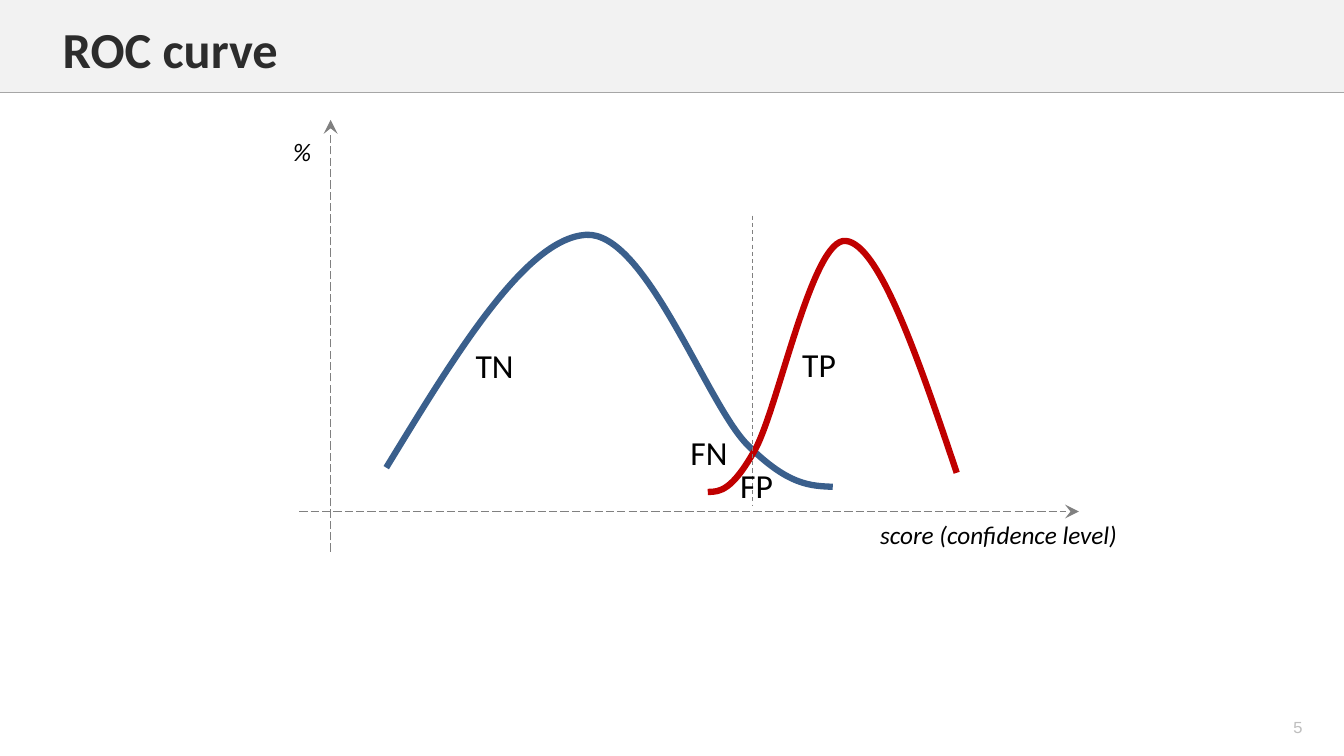
from lxml import etree
from pptx import Presentation
from pptx import util as u
from pptx.dml.color import RGBColor
from pptx.enum import dml, shapes, text
from pptx.oxml.ns import qn

COLORS = {
    "band": "F2F2F2", "rule": "A6A6A6", "title": "2C2C2C", "text": "000000",
    "page": "BFBFBF", "axis": "808080", "negative": "3A5F8C", "positive": "C00000",
}
COLS, ROWS = 80, 45
DASH = dml.MSO_LINE.DASH
LONG_DASH = dml.MSO_LINE.LONG_DASH
MIDDLE, TOP = text.MSO_ANCHOR.MIDDLE, text.MSO_ANCHOR.TOP
CENTER, LEFT = text.PP_ALIGN.CENTER, text.PP_ALIGN.LEFT


class Canvas:
    """Draws on one slide; all lengths are columns and rows of the grid."""

    def __init__(self, prs, font="Calibri"):
        self.s = prs.slides.add_slide(prs.slide_layouts[6])
        self.font = font
        self.col = prs.slide_width / COLS
        self.row = prs.slide_height / ROWS

    def at(self, x, y):
        return round(x * self.col), round(y * self.row)

    def color(self, name):
        return RGBColor.from_string(COLORS[name])

    def band(self, x, y, w, h, fill):
        sp = self.s.shapes.add_shape(shapes.MSO_SHAPE.RECTANGLE, *self.at(x, y), *self.at(w, h))
        sp.shadow.inherit = False
        sp.fill.solid()
        sp.fill.fore_color.rgb = self.color(fill)
        sp.line.fill.background()

    def line(self, start, end, color, width=0.75, dash=None, arrow=False):
        c = self.s.shapes.add_connector(shapes.MSO_CONNECTOR.STRAIGHT, *self.at(*start), *self.at(*end))
        c.line.color.rgb = self.color(color)
        c.line.width = u.Pt(width)
        if dash:
            c.line.dash_style = dash
        if arrow:
            etree.SubElement(c._element.spPr.find(qn("a:ln")), qn("a:tailEnd"),
                             type="stealth", w="lg", len="lg")
        etree.SubElement(c._element.spPr, qn("a:effectLst"))

    def curve(self, knots, color):
        """Smooth open line; knots are a start point, then three points per Bezier segment."""
        points = [self.at(*k) for k in knots]
        fb = self.s.shapes.build_freeform(*points[0])
        fb.add_line_segments(points[3::3], close=False)
        sp = fb.convert_to_shape()
        for i, segment in enumerate(sp._element.findall(".//" + qn("a:lnTo"))):
            segment.clear()
            bend = etree.Element(qn("a:cubicBezTo"))
            for x, y in points[3 * i + 1:3 * i + 4]:
                etree.SubElement(bend, qn("a:pt"), x=str(x - sp.left), y=str(y - sp.top))
            segment.getparent().replace(segment, bend)
        sp.shadow.inherit = False
        sp.fill.background()
        sp.line.color.rgb = self.color(color)
        sp.line.width = u.Pt(4.5)

    def label(self, words, x, y, w=5.22, h=3.33, size=24, color="text",
              align=CENTER, anchor=MIDDLE, font=None, bold=False, italic=False):
        tf = self.s.shapes.add_textbox(*self.at(x, y), *self.at(w, h)).text_frame
        tf.word_wrap = True
        tf.vertical_anchor = anchor
        tf.text = words
        p = tf.paragraphs[0]
        p.alignment = align
        r = p.runs[0]
        r.font.name = font or self.font
        r.font.size = u.Pt(size)
        r.font.bold = bold
        r.font.italic = italic
        r.font.color.rgb = self.color(color)


def main():
    prs = Presentation()
    prs.slide_width, prs.slide_height = u.Inches(13.33), u.Inches(7.5)
    c = Canvas(prs)

    c.band(0, 0, COLS, 5.52, "band")
    c.line((0, 5.52), (COLS, 5.52), "rule", width=1)
    c.label("5", 74.64, 42.36, h=1.86, size=12, color="page", font="Courier New")
    c.label("ROC curve", 3.14, 0.76, 71.36, 4.26, size=36, color="title",
            align=LEFT, anchor=TOP, bold=True)

    c.curve([(22.99, 27.84),
             (27.13, 21.06), (31.27, 14.22), (34.87, 13.98),
             (38.41, 13.74), (42.01, 23.94), (44.47, 26.46),
             (46.93, 28.92), (48.25, 28.92), (49.57, 28.98)], "negative")
    c.curve([(56.95, 28.14),
             (54.67, 21.36), (52.33, 14.52), (50.35, 14.34),
             (48.37, 14.1), (46.33, 24.24), (44.95, 26.76),
             (43.57, 29.22), (42.85, 29.28), (42.13, 29.28)], "positive")
    c.line((44.77, 12.84), (44.77, 30.12), "axis", dash=DASH)

    for words, x, y in [("FP", 42.42, 27.2), ("TP", 46.14, 19.98),
                        ("FN", 39.59, 25.26), ("TN", 26.83, 20.06)]:
        c.label(words, x, y)

    c.line((17.82, 30.45), (64.22, 30.45), "axis", dash=LONG_DASH, arrow=True)
    c.label("score (confidence level)", 49.54, 30.15, w=19.8, size=18, italic=True)
    c.line((19.68, 32.84), (19.68, 7.14), "axis", dash=LONG_DASH, arrow=True)
    c.label("%", 16.86, 7.35, w=2.82, size=18, align=LEFT, italic=True)

    prs.save("out.pptx")


if __name__ == "__main__":
    main()
